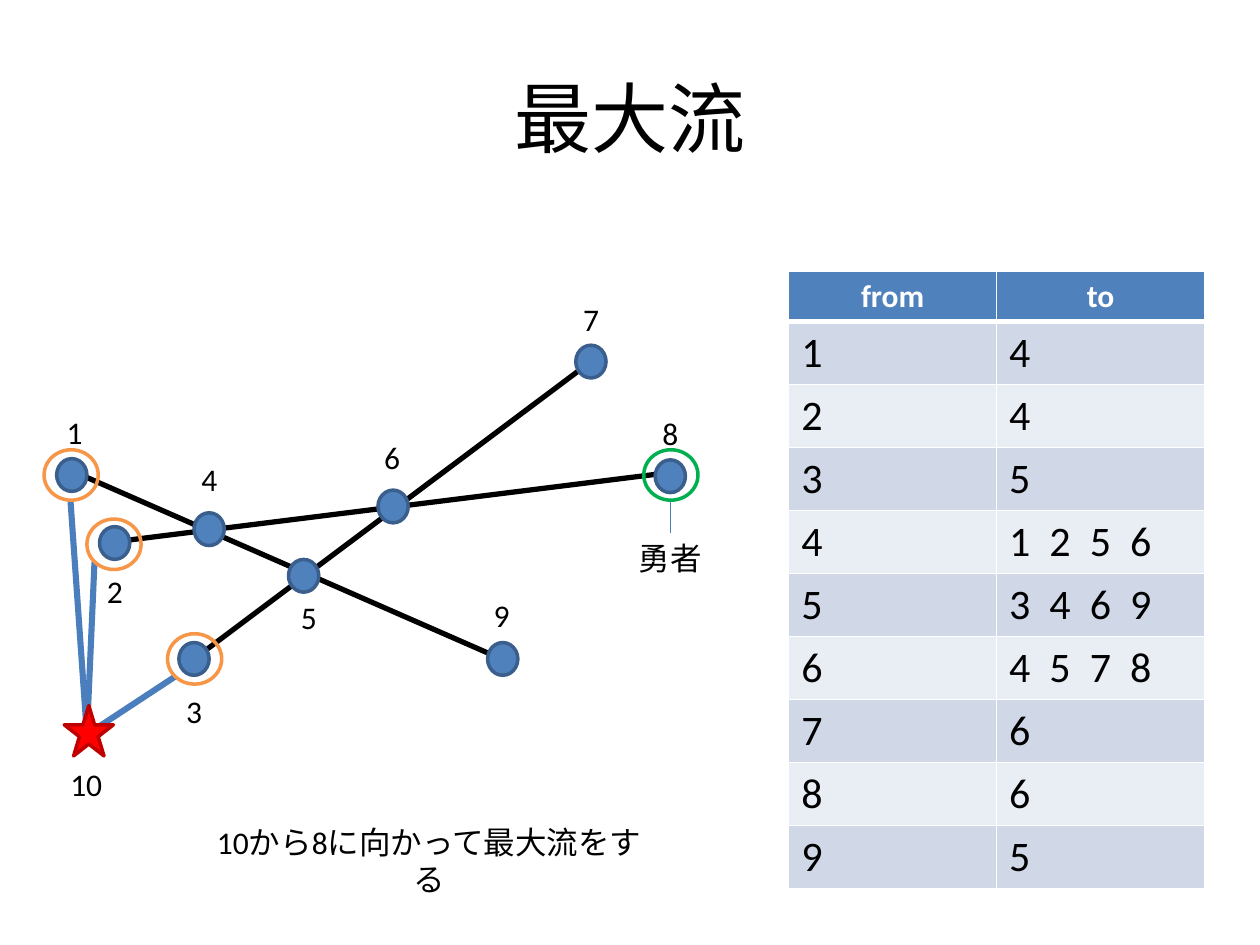
"""Build the maximum flow slide with its graph and adjacency table."""
from lxml import etree
from pptx import Presentation
from pptx.dml.color import RGBColor
from pptx.enum.shapes import MSO_CONNECTOR, MSO_SHAPE
from pptx.enum.text import MSO_ANCHOR, PP_ALIGN
from pptx.oxml import parse_xml
from pptx.oxml.ns import nsdecls, qn
from pptx.util import Inches, Pt

color = RGBColor.from_string
deck = Presentation()
deck.slide_width, deck.slide_height = Inches(10), Inches(7.5)
page = deck.slides.add_slide(deck.slide_layouts[6])


def write(frame, text, size=18, align=PP_ALIGN.LEFT, ink="000000", bold=False):
    """Write one formatted run into a text frame."""
    para = frame.paragraphs[0]
    para.alignment = align
    span = para.add_run()
    span.text = text
    span.font.name, span.font.size, span.font.bold = "Calibri", Pt(size), bold
    span.font.color.rgb = color(ink)


def add_marker(kind, left, top, width, height, outline, fill=None):
    """Add an outlined shape, filled when a fill colour is given."""
    marker = page.shapes.add_shape(kind, Inches(left), Inches(top), Inches(width), Inches(height))
    marker.shadow.inherit = False
    marker.line.color.rgb = color(outline)
    marker.line.width = Pt(2)
    if fill:
        marker.fill.solid()
        marker.fill.fore_color.rgb = color(fill)
    else:
        marker.fill.background()


lines = [
    (1.54, 5.23, 4.69, 2.87, "000000", 3),
    (0.91, 4.3, 5.32, 3.75, "000000", 3),
    (0.6, 3.75, 3.98, 5.23, "000000", 3),
    (0.56, 3.98, 0.69, 5.83, "4B7EBC", 3.5),
    (0.75, 4.46, 0.69, 5.83, "4B7EBC", 3.5),
    (1.39, 5.37, 0.69, 5.83, "4B7EBC", 3.5),
    (5.32, 3.97, 5.32, 4.23, "4B7EBC", 0.75),
]
for x1, y1, x2, y2, ink, weight in lines:
    edge = page.shapes.add_connector(
        MSO_CONNECTOR.STRAIGHT, Inches(x1), Inches(y1), Inches(x2), Inches(y2))
    edge.line.color.rgb = color(ink)
    edge.line.width = Pt(weight)
    etree.SubElement(edge._element.spPr, qn("a:effectLst"))

nodes = [(0.45, 3.64), (0.79, 4.18), (1.42, 5.1), (1.54, 4.07), (2.29, 4.44),
         (3, 3.89), (4.57, 2.74), (5.2, 3.65), (3.87, 5.1)]
for left, top in nodes:
    add_marker(MSO_SHAPE.OVAL, left, top, 0.24, 0.26, "3A5F8C", "4F81BD")

rings = [(0.35, 3.57, "F79646"), (0.69, 4.12, "F79646"),
         (1.33, 5.03, "F79646"), (5.11, 3.57, "00B050")]
for left, top, outline in rings:
    add_marker(MSO_SHAPE.OVAL, left, top, 0.43, 0.4, outline)
add_marker(MSO_SHAPE.STAR_5_POINT, 0.51, 5.6, 0.39, 0.4, "C00000", "FF0000")

labels = [
    ("1", 0.43, 3.23, 0.33), ("2", 0.75, 4.49, 0.33), ("3", 1.38, 5.44, 0.33),
    ("4", 1.5, 3.6, 0.33), ("5", 2.29, 4.7, 0.33), ("6", 2.95, 3.43, 0.33),
    ("7", 4.53, 2.33, 0.33), ("8", 5.16, 3.24, 0.33), ("9", 3.82, 4.68, 0.33),
    ("10", 0.46, 6.02, 0.46), ("勇者", 4.97, 4.23, 0.71),
]
for text, left, top, width in labels:
    box = page.shapes.add_textbox(Inches(left), Inches(top), Inches(width), Inches(0.4))
    box.text_frame.word_wrap = False
    write(box.text_frame, text)

captions = [("最大流", 0.5, 0.3, 9, 1.25, 44, MSO_ANCHOR.MIDDLE),
            ("10から8に向かって最大流をする", 1.58, 6.48, 3.65, 0.4, 18, MSO_ANCHOR.TOP)]
for text, left, top, width, height, size, anchor in captions:
    box = page.shapes.add_textbox(Inches(left), Inches(top), Inches(width), Inches(height))
    box.text_frame.word_wrap = True
    box.text_frame.vertical_anchor = anchor
    write(box.text_frame, text, size, PP_ALIGN.CENTER)

rows = [("from", "to"), ("1", "4"), ("2", "4"), ("3", "5"), ("4", "1  2  5  6"),
        ("5", "3  4  6  9"), ("6", "4  5  7  8"), ("7", "6"), ("8", "6"), ("9", "5")]
table = page.shapes.add_table(
    len(rows), 2, Inches(6.26), Inches(2.15), Inches(3.3), Inches(4.9)).table
for column in table.columns:
    column.width = Inches(1.65)
for index, row in enumerate(rows):
    header = index == 0
    table.rows[index].height = Inches(0.4 if header else 0.5)
    fill = "4F81BD" if header else ("E9EDF4", "D0D8E8")[index % 2]
    weights = {"L": 1, "R": 1, "T": 3 if index == 1 else 1, "B": 3 if header else 1}
    for cell, text in zip(table.rows[index].cells, row):
        for side, weight in weights.items():
            cell._tc.get_or_add_tcPr().append(parse_xml(
                f'<a:ln{side} {nsdecls("a")} w="{Pt(weight)}"><a:solidFill>'
                f'<a:srgbClr val="FFFFFF"/></a:solidFill></a:ln{side}>'))
        cell.fill.solid()
        cell.fill.fore_color.rgb = color(fill)
        if header:
            write(cell.text_frame, text, 18, PP_ALIGN.CENTER, "FFFFFF", True)
        else:
            write(cell.text_frame, text, 24)

deck.save("out.pptx")
